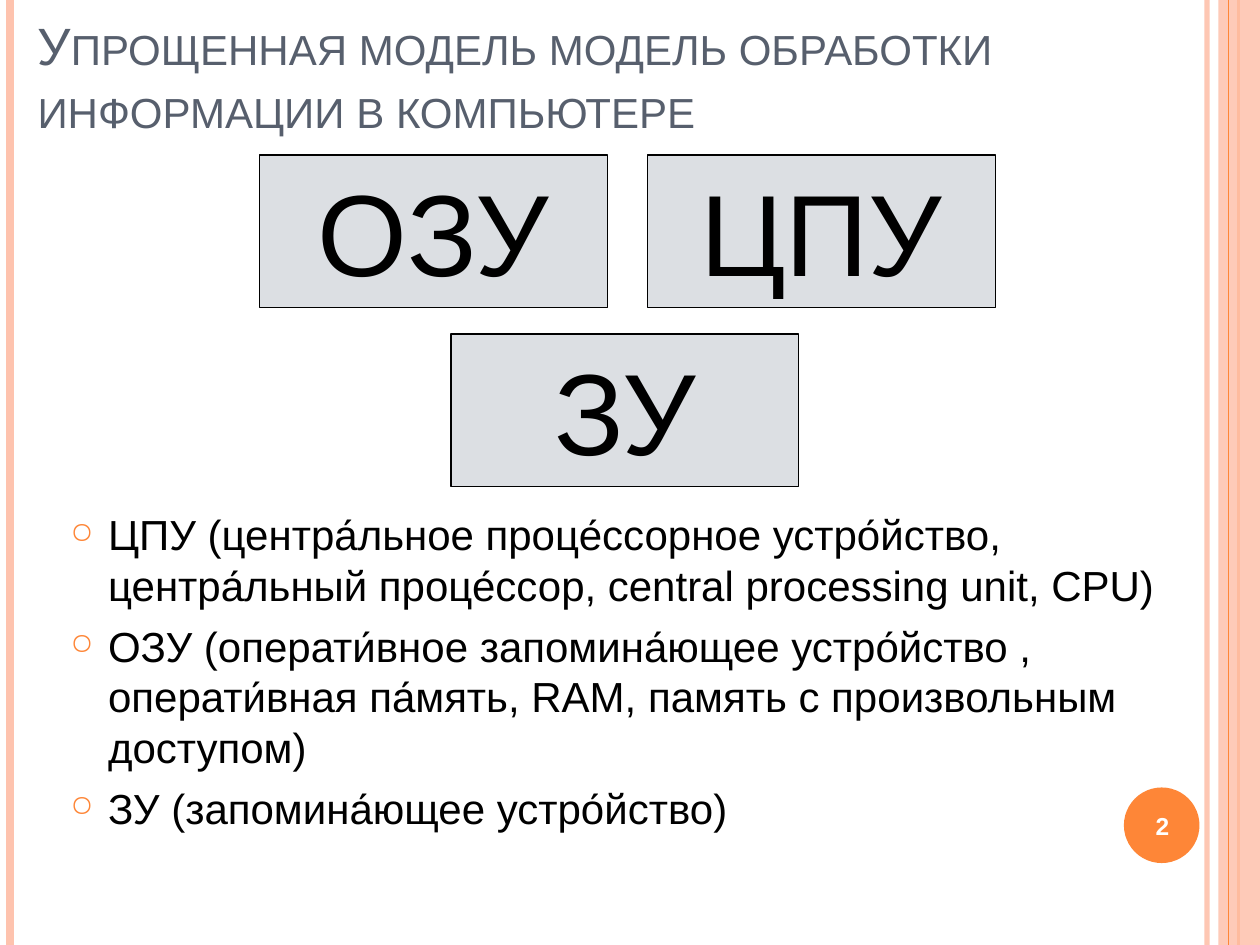
import pptx
import pptx.util
import pptx.dml.color
import pptx.enum.shapes
import pptx.enum.text
import pptx.oxml
import lxml.etree
from pptx.util import Inches, Pt
from pptx.oxml.ns import qn

TITLE = "Упрощенная модель модель обработки информации в компьютере"
DEVICE_ROWS = [
    (1.23, [("ОЗУ", 2.06), ("ЦПУ", 5.14)]),
    (2.65, [("ЗУ", 3.58)]),
]
DEFINITIONS = [
    "ЦПУ (центра́льное проце́ссорное устро́йство, центра́льный проце́ссор, central processing unit, CPU)",
    "ОЗУ (операти́вное запомина́ющее устро́йство , операти́вная па́мять, RAM, память с произвольным доступом)",
    "ЗУ (запомина́ющее устро́йство)",
]
PAGE_NUMBER = "2"
PEACH, ORANGE, GREY = "FEC3AE", "FE8637", "DCDFE3"
RULES_BEHIND = [(9.58, PEACH, 3, 93), (0.08, PEACH, 4.5, 100), (9.83, ORANGE, 1.5, 100)]
RULES_FRONT = [(9.75, ORANGE, 0.75, 100)]
SHAPES = pptx.enum.shapes.MSO_SHAPE
ANCHORS = pptx.enum.text.MSO_ANCHOR
CENTER = pptx.enum.text.PP_ALIGN.CENTER

deck = pptx.Presentation()
deck.slide_width, deck.slide_height = Inches(10), Inches(7.5)
slide = deck.slides.add_slide(deck.slide_layouts[6])


def paint(color_format, color):
    color_format.rgb = pptx.dml.color.RGBColor.from_string(color)


def make_transparent(part, opacity):
    color = part._element.spPr.find(".//" + qn("a:srgbClr"))
    lxml.etree.SubElement(color, qn("a:alpha")).set("val", str(opacity * 1000))


def add_rules(rules):
    for x, color, width, opacity in rules:
        rule = slide.shapes.add_connector(
            pptx.enum.shapes.MSO_CONNECTOR.STRAIGHT,
            Inches(x), 0, Inches(x), deck.slide_height)
        rule.line.width = Pt(width)
        paint(rule.line.color, color)
        if opacity < 100:
            make_transparent(rule, opacity)
        lxml.etree.SubElement(rule._element.spPr, qn("a:effectLst"))


def add_block(kind, place, color, outlined=False):
    block = slide.shapes.add_shape(kind, *map(Inches, place))
    block.shadow.inherit = False
    block.fill.solid()
    paint(block.fill.fore_color, color)
    if outlined:
        block.line.width = Pt(0.75)
        paint(block.line.color, "000000")
    else:
        block.line.fill.background()
    return block


def add_box(place, anchor):
    box = slide.shapes.add_textbox(*map(Inches, place))
    box.text_frame.word_wrap = True
    box.text_frame.vertical_anchor = anchor
    return box.text_frame


def write(paragraph, text, size, color, align=None, bold=False):
    paragraph.text = text
    paragraph.alignment = align
    font = paragraph.runs[0].font
    font.name, font.size, font.bold = "Arial", Pt(size), bold
    paint(font.color, color)


def add_bullet(paragraph):
    properties = paragraph._p.get_or_add_pPr()
    properties.set("marL", str(Inches(0.3)))
    properties.set("indent", str(-Inches(0.3)))
    bullet_color = lxml.etree.SubElement(properties, qn("a:buClr"))
    lxml.etree.SubElement(bullet_color, qn("a:srgbClr")).set("val", ORANGE)
    lxml.etree.SubElement(properties, qn("a:buSzPct")).set("val", "70000")
    lxml.etree.SubElement(properties, qn("a:buChar")).set("char", "○")


add_rules(RULES_BEHIND)
make_transparent(add_block(SHAPES.RECTANGLE, (9.67, 0, 0.33, 7.5), PEACH), 87)
add_rules(RULES_FRONT)

add_block(SHAPES.OVAL, (8.92, 6.25, 0.6, 0.6), ORANGE)
page = add_box((8.89, 6.27, 0.67, 0.57), ANCHORS.MIDDLE)
write(page.paragraphs[0], PAGE_NUMBER, 14, "FFFFFF", CENTER, True)

heading = add_box((0.2, 0, 9, 1.15), ANCHORS.BOTTOM).paragraphs[0]
write(heading, TITLE, 30, "575F6D")
heading.runs[0].font._element.set("cap", "small")

for top, devices in DEVICE_ROWS:
    for name, left in devices:
        device = add_block(SHAPES.RECTANGLE, (left, top, 2.76, 1.21), GREY, True)
        device.text_frame.vertical_anchor = ANCHORS.TOP
        device.text_frame.auto_size = pptx.enum.text.MSO_AUTO_SIZE.SHAPE_TO_FIT_TEXT
        write(device.text_frame.paragraphs[0], name, 66, "000000", CENTER)

body = add_box((0.46, 3.99, 9, 2.91), ANCHORS.TOP)
for index, definition in enumerate(DEFINITIONS):
    paragraph = body.add_paragraph() if index else body.paragraphs[0]
    write(paragraph, definition, 24, "000000")
    paragraph.space_before = Pt(6)
    add_bullet(paragraph)

deck.save("out.pptx")
